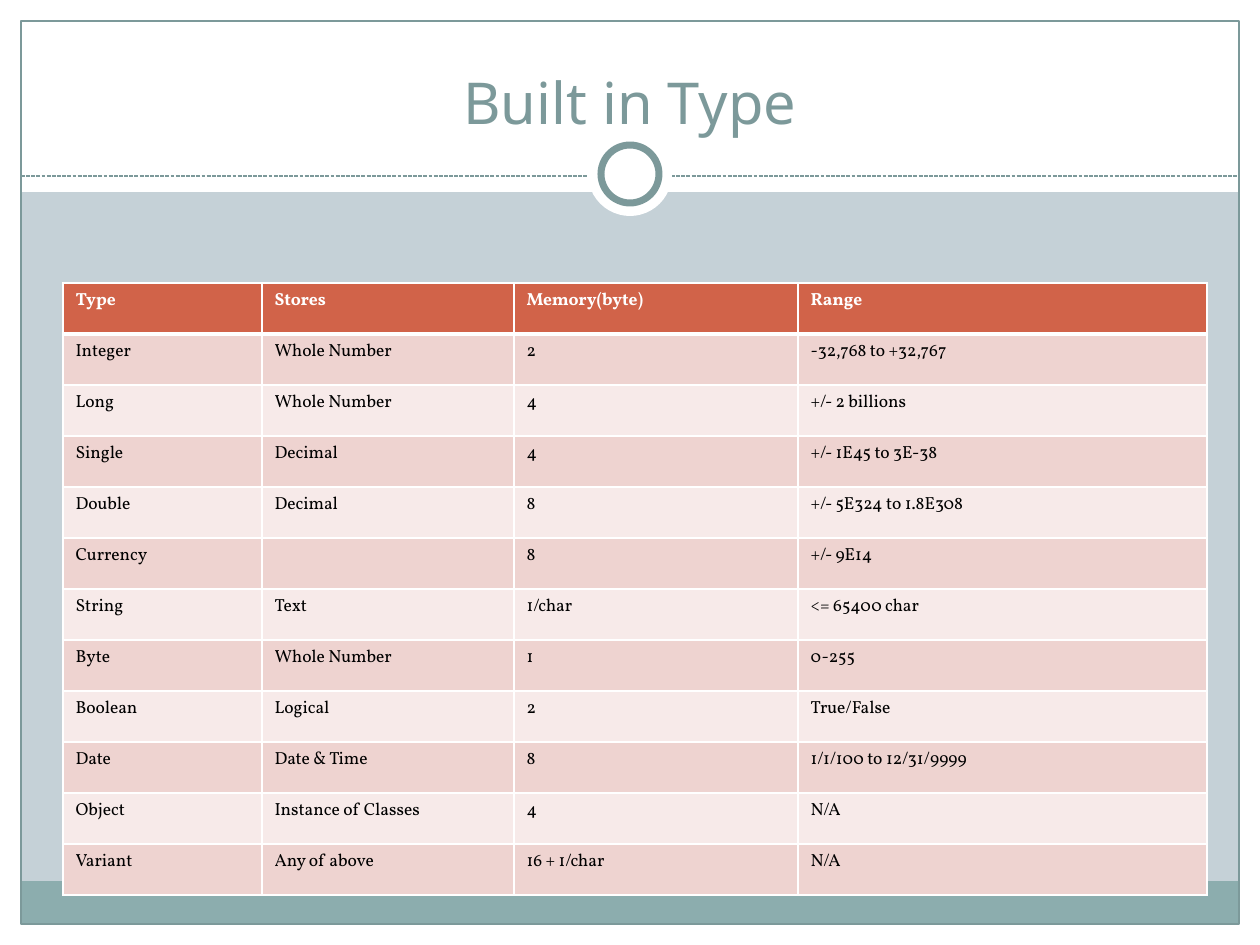
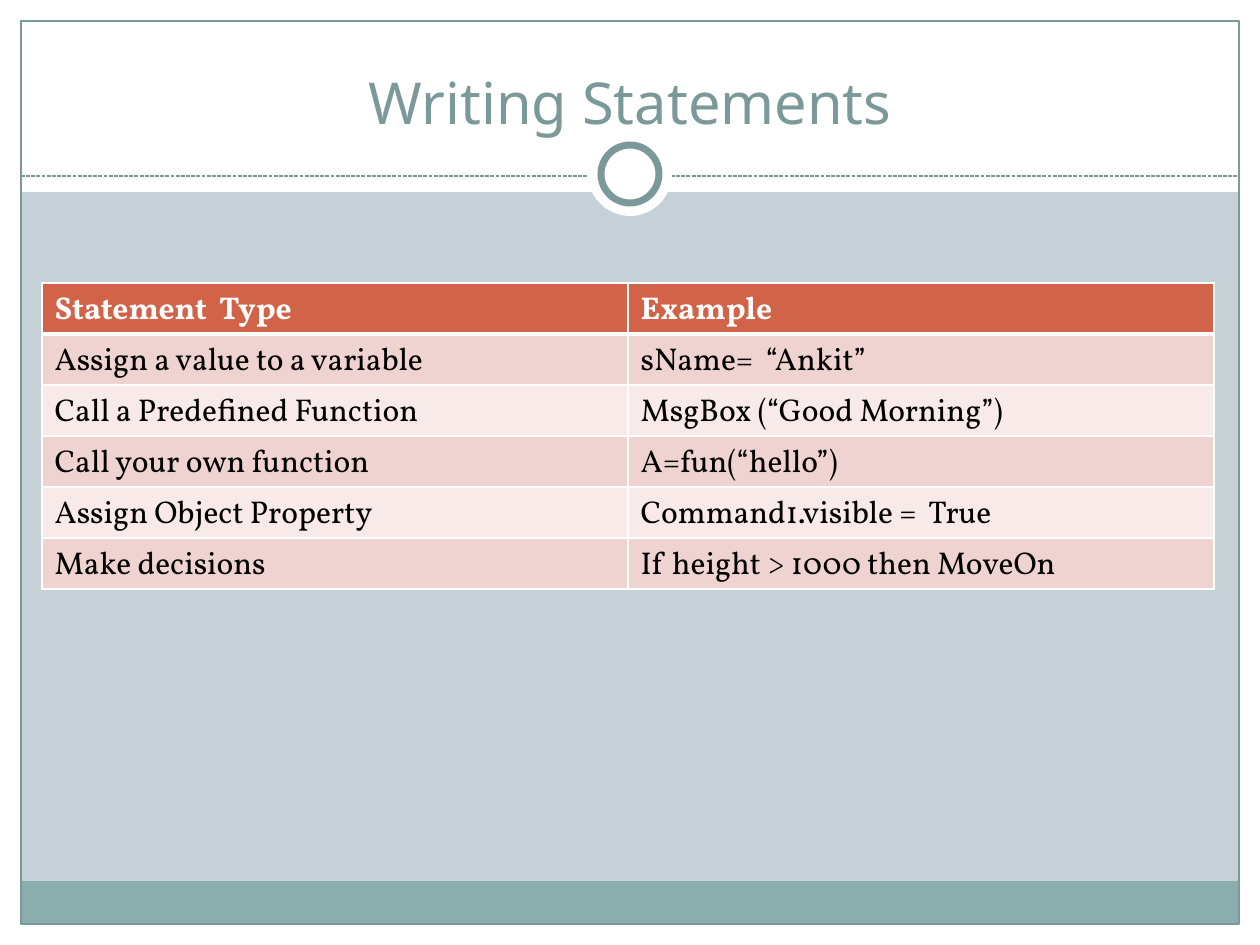
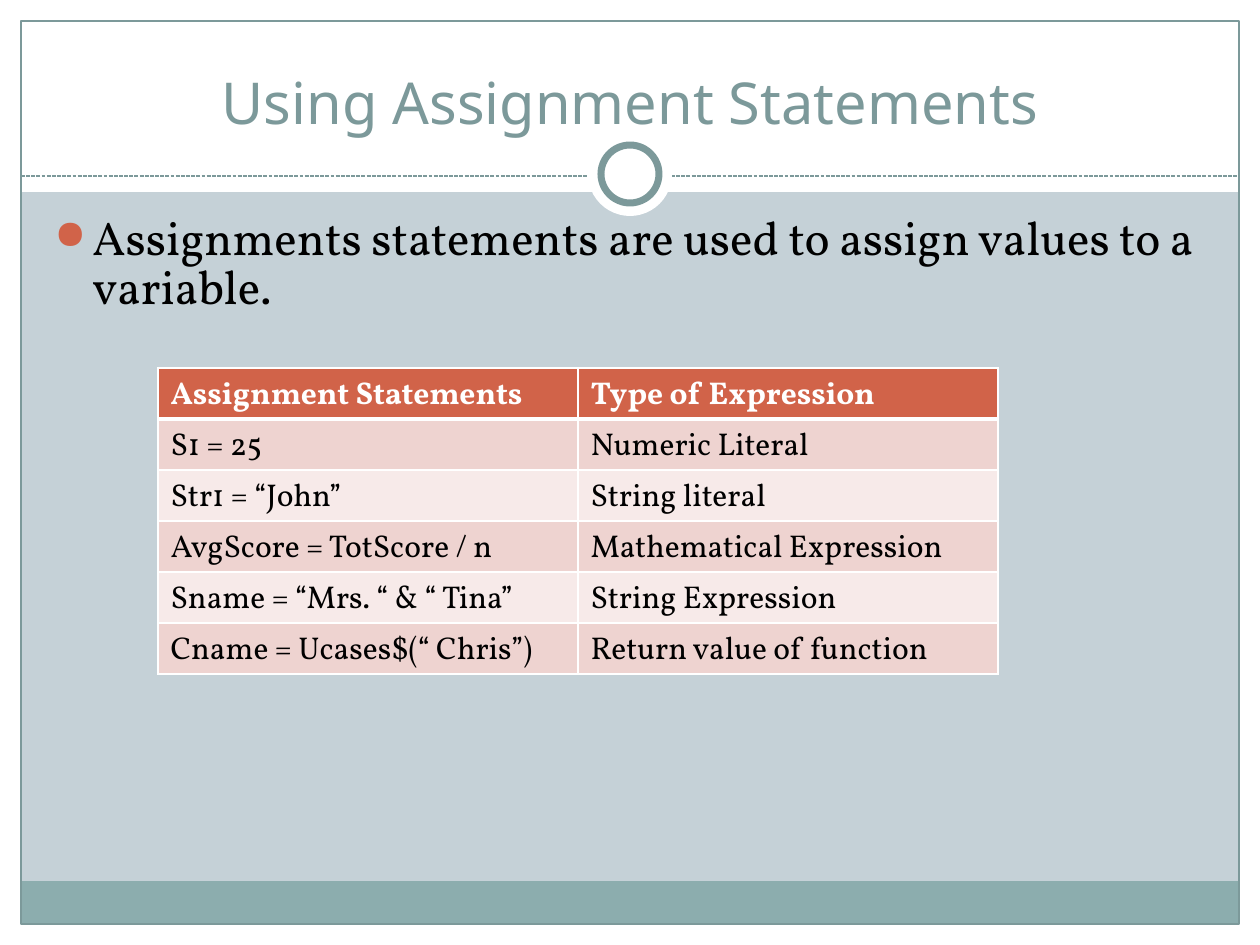
import dataclasses

import lxml.etree
import pptx
import pptx.dml.color
import pptx.enum.dml
import pptx.enum.shapes
import pptx.enum.text
import pptx.oxml.ns
import pptx.util


@dataclasses.dataclass(frozen=True)
class Theme:
    """Colours, fonts and type sizes of the deck."""
    background: str = "C5D1D7"
    white: str = "FFFFFF"
    black: str = "000000"
    teal: str = "7C999A"
    footer: str = "8CADAE"
    accent: str = "D16349"
    bands: tuple = ("EED3D0", "F7EAE9")
    title_font: str = "Noto Sans"
    body_font: str = "Vollkorn"
    title_size: int = 33
    body_size: int = 27
    table_size: int = 18
    small_size: int = 10


THEME = Theme()
SCALE = 914400 / 126
SLIDE_W, SLIDE_H = 1260, 945
MARGIN = 21
ROW_H = 51
RECT = pptx.enum.shapes.MSO_SHAPE.RECTANGLE
OVAL = pptx.enum.shapes.MSO_SHAPE.OVAL

BUILT_IN_TYPES = [
    ("Type", "Stores", "Memory(byte)", "Range"),
    ("Integer", "Whole Number", "2", "-32,768 to +32,767"),
    ("Long", "Whole Number", "4", "+/- 2 billions"),
    ("Single", "Decimal", "4", "+/- 1E45 to 3E-38"),
    ("Double", "Decimal", "8", "+/- 5E324 to 1.8E308"),
    ("Currency", "", "8", "+/- 9E14"),
    ("String", "Text", "1/char", "<= 65400 char"),
    ("Byte", "Whole Number", "1", "0-255"),
    ("Boolean", "Logical", "2", "True/False"),
    ("Date", "Date & Time", "8", "1/1/100 to 12/31/9999"),
    ("Object", "Instance of Classes", "4", "N/A"),
    ("Variant", "Any of above", "16 + 1/char", "N/A"),
]
STATEMENTS = [
    ("Statement  Type", "Example"),
    ("Assign a value to a variable", "sName=  “Ankit”"),
    ("Call a Predefined Function", "MsgBox (“Good Morning”)"),
    ("Call your own function", "A=fun(“hello”)"),
    ("Assign Object Property", "Command1.visible =  True"),
    ("Make decisions", "If height > 1000 then MoveOn"),
]
ASSIGNMENTS = [
    ("Assignment Statements", "Type of Expression"),
    ("S1 = 25", "Numeric Literal"),
    ("Str1 = “John”", "String literal"),
    ("AvgScore = TotScore / n", "Mathematical Expression"),
    ("Sname = “Mrs. “ & “ Tina”", "String Expression"),
    ("Cname = Ucases$(“ Chris”)", "Return value of function"),
]


def px(n):
    """Turn pixels into EMU."""
    return pptx.util.Emu(round(n * SCALE))


def rgb(color):
    """Turn a hex string into a colour."""
    return pptx.dml.color.RGBColor.from_string(color)


def add_xml(parent, tag, **attrs):
    """Append a DrawingML element with the given attributes."""
    el = lxml.etree.SubElement(parent, pptx.oxml.ns.qn(tag))
    for name, value in attrs.items():
        el.set(name, str(value))
    return el


def style_run(r, font, size, color, bold=False):
    """Set the font of a run."""
    r.font.name = font
    r.font.size = pptx.util.Pt(size)
    r.font.color.rgb = rgb(color)
    r.font.bold = bold


def add_shape(slide, kind, box, fill=None, line=None, width=0.75):
    """Add a flat preset shape."""
    sp = slide.shapes.add_shape(kind, *map(px, box))
    sp.shadow.inherit = False
    if fill:
        sp.fill.solid()
        sp.fill.fore_color.rgb = rgb(fill)
    else:
        sp.fill.background()
    if line:
        sp.line.color.rgb = rgb(line)
        sp.line.width = pptx.util.Pt(width)
    else:
        sp.line.fill.background()
    return sp


def add_rule(slide, x, y, w):
    """Add the dashed rule below the title."""
    line = slide.shapes.add_connector(
        pptx.enum.shapes.MSO_CONNECTOR.STRAIGHT, px(x), px(y), px(x + w), px(y))
    line.line.color.rgb = rgb(THEME.teal)
    line.line.width = pptx.util.Pt(0.75)
    line.line.dash_style = pptx.enum.dml.MSO_LINE.SQUARE_DOT
    add_xml(line._element.spPr, "a:effectLst")


def add_frame(slide, x, y, w, h):
    """Draw the white margins, footer band, border, rule and ring around a box."""
    right, bottom = x + w, y + h
    margins = [
        (0, bottom, SLIDE_W, SLIDE_H - bottom),
        (0, 0, SLIDE_W, 192),
        (0, 0, x, SLIDE_H),
        (right, 0, SLIDE_W - right, SLIDE_H),
    ]
    for box in margins:
        add_shape(slide, RECT, box, THEME.white)
    add_shape(slide, RECT, (x, bottom - 43, w, 43), THEME.footer)
    add_shape(slide, RECT, (x, y, w, h), line=THEME.teal)
    add_rule(slide, x, y + 155, w)
    center_x, center_y = x + w // 2, y + 153
    for radius, line in ((42, None), (29, THEME.teal)):
        box = (center_x - radius, center_y - radius, 2 * radius, 2 * radius)
        add_shape(slide, OVAL, box, THEME.white, line, 4)


def add_text(slide, box, text, font, size, color):
    """Add a wrapped one-paragraph text box and return its frame."""
    tf = slide.shapes.add_textbox(*map(px, box)).text_frame
    tf.word_wrap = True
    tf.text = text
    style_run(tf.paragraphs[0].runs[0], font, size, color)
    return tf


def add_title(slide, box, text):
    """Add the centred slide title."""
    tf = add_text(slide, box, text, THEME.title_font, THEME.title_size, THEME.teal)
    tf.margin_bottom = 0
    tf.vertical_anchor = pptx.enum.text.MSO_ANCHOR.BOTTOM
    tf.paragraphs[0].alignment = pptx.enum.text.PP_ALIGN.CENTER


def add_bullet(slide, box, text):
    """Add a bulleted paragraph."""
    tf = add_text(slide, box, text, THEME.body_font, THEME.body_size, THEME.black)
    p = tf.paragraphs[0]
    p.line_spacing = 0.87
    p.space_before = pptx.util.Pt(5.4)
    pPr = p._p.get_or_add_pPr()
    pPr.set("marL", str(px(38)))
    pPr.set("indent", str(-px(38)))
    add_xml(add_xml(pPr, "a:buClr"), "a:srgbClr", val=THEME.accent)
    add_xml(pPr, "a:buSzPct", val=85000)
    add_xml(pPr, "a:buChar", char="●")


def set_borders(cell, bottom):
    """Give a cell white borders with the given bottom width in points."""
    tcPr = cell._tc.get_or_add_tcPr()
    for i, (side, width) in enumerate((("L", 1), ("R", 1), ("T", 1), ("B", bottom))):
        ln = add_xml(tcPr, f"a:ln{side}", w=pptx.util.Pt(width))
        add_xml(add_xml(ln, "a:solidFill"), "a:srgbClr", val=THEME.white)
        tcPr.insert(i, ln)


def add_table(slide, x, y, widths, rows, size):
    """Add a banded table with a header row."""
    table = slide.shapes.add_table(
        len(rows), len(widths), px(x), px(y), px(sum(widths)), px(ROW_H * len(rows))).table
    for column, width in zip(table.columns, widths):
        column.width = px(width)
    for i, values in enumerate(rows):
        header = i == 0
        table.rows[i].height = px(ROW_H)
        for cell, text in zip(table.rows[i].cells, values):
            cell.fill.solid()
            cell.fill.fore_color.rgb = rgb(THEME.accent if header else THEME.bands[(i - 1) % 2])
            set_borders(cell, 3 if header else 1)
            p = cell.text_frame.paragraphs[0]
            p.text = text
            if text:
                color = THEME.white if header else THEME.black
                style_run(p.runs[0], THEME.body_font, size, color, header)
            else:
                add_xml(p._p, "a:endParaRPr", sz=size * 100)


def add_slide(prs, title):
    """Add a slide with the shared background, frame and title."""
    slide = prs.slides.add_slide(prs.slide_layouts[6])
    slide.background.fill.solid()
    slide.background.fill.fore_color.rgb = rgb(THEME.background)
    add_frame(slide, MARGIN, MARGIN, SLIDE_W - 2 * MARGIN, SLIDE_H - 2 * MARGIN)
    add_title(slide, (42, 31, 1176, 105), title)
    return slide


def main():
    """Build the deck and save it."""
    prs = pptx.Presentation()
    prs.slide_width, prs.slide_height = px(SLIDE_W), px(SLIDE_H)
    slide = add_slide(prs, "Built in Type")
    add_table(slide, 63, 283, (199, 252, 284, 409), BUILT_IN_TYPES, THEME.small_size)
    slide = add_slide(prs, "Writing Statements")
    add_table(slide, 42, 283, (586, 586), STATEMENTS, THEME.table_size)
    slide = add_slide(prs, "Using Assignment Statements")
    add_bullet(slide, (42, 210, 1172, 126),
               "Assignments statements are used to assign values to a variable.")
    add_table(slide, 158, 368, (420, 420), ASSIGNMENTS, THEME.table_size)
    prs.save("out.pptx")


if __name__ == "__main__":
    main()
